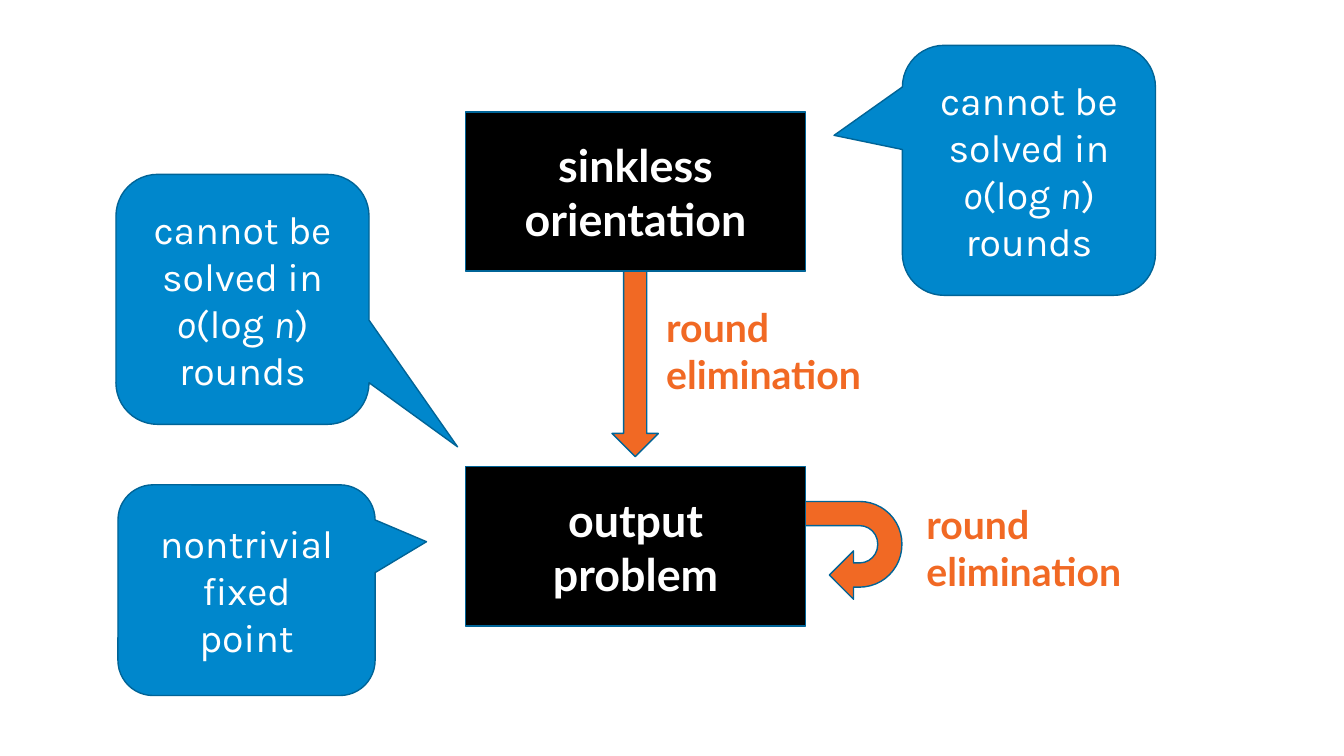
from dataclasses import dataclass

from pptx import Presentation
from pptx.dml.color import RGBColor
from pptx.enum import shapes, text
from pptx.util import Inches, Pt

COLORS = {
    "orange": "F16924",
    "blue": "0087CC",
    "outline": "006497",
    "black": "000000",
    "white": "FFFFFF",
}
KIND = shapes.MSO_SHAPE
ALIGN = text.PP_ALIGN
BOX_FONT = {"name": "Lato", "size": Pt(32), "bold": True}
LABEL_FONT = {"name": "Lato", "size": Pt(28), "bold": True}
CALLOUT_FONT = {"name": "Karla", "size": Pt(28)}
CENTERED = {"alignment": ALIGN.CENTER}
CALLOUT_PARA = {"alignment": ALIGN.CENTER, "space_before": Pt(20)}
LABEL_FRAME = {"word_wrap": False, "auto_size": text.MSO_AUTO_SIZE.SHAPE_TO_FIT_TEXT}
SHAPE_FRAME = {"word_wrap": True, "vertical_anchor": text.MSO_ANCHOR.MIDDLE}
BOUND = "cannot be\nsolved in\n*o*(log *n*)\nrounds"


@dataclass
class Box:
    left: float
    top: float
    width: float
    height: float


@dataclass
class Label:
    box: Box
    paragraphs: tuple[str, ...]


@dataclass
class Callout:
    box: Box
    tip: tuple[float, float]
    words: str


@dataclass
class Arrow:
    kind: shapes.MSO_SHAPE
    box: Box
    rotation: float = 0


LABELS = [
    Label(Box(left, top, 2.44, 1.04), ("round", "elimination"))
    for left, top in [(6.51, 2.96), (9.09, 4.91)]
]
ARROWS = [
    Arrow(KIND.U_TURN_ARROW, Box(7.98, 4.98, 0.97, 0.96), 90),
    Arrow(KIND.DOWN_ARROW, Box(6.07, 2.69, 0.46, 1.84)),
]
PROBLEMS = [
    Label(Box(4.62, 1.11, 3.37, 1.58), ("sinkless", "orientation")),
    Label(Box(4.62, 4.63, 3.37, 1.58), ("output", "problem")),
]
CALLOUTS = [
    Callout(Box(8.95, 0.45, 2.51, 2.48), (-0.77, -0.14), BOUND),
    Callout(Box(1.17, 4.81, 2.55, 2.09), (0.7, -0.23), "nontrivial\nfixed\npoint"),
    Callout(Box(1.15, 1.73, 2.51, 2.48), (0.85, 0.59), BOUND),
]


def rgb(name: str) -> RGBColor:
    return RGBColor.from_string(COLORS[name])


def apply(target, formats: dict) -> None:
    for key, value in formats.items():
        setattr(target, key, value)


def place(box: Box) -> list:
    return [Inches(v) for v in (box.left, box.top, box.width, box.height)]


def add_filled(s, kind: shapes.MSO_SHAPE, box: Box, fill: str):
    sp = s.shapes.add_shape(kind, *place(box))
    sp.shadow.inherit = False
    sp.fill.solid()
    sp.fill.fore_color.rgb = rgb(fill)
    sp.line.color.rgb = rgb("outline")
    sp.line.width = Pt(1)
    return sp


def write(tf, paragraphs: tuple[str, ...], font: dict, color: str, para: dict) -> None:
    for i, words in enumerate(paragraphs):
        p = tf.add_paragraph() if i else tf.paragraphs[0]
        apply(p, para)
        for n, line in enumerate(words.split("\n")):
            if n:
                p.add_line_break()
            for k, part in enumerate(line.split("*")):
                if part:
                    r = p.add_run()
                    r.text = part
                    apply(r.font, {**font, "italic": k % 2 == 1})
                    r.font.color.rgb = rgb(color)


def add_label(s, label: Label) -> None:
    tf = s.shapes.add_textbox(*place(label.box)).text_frame
    apply(tf, LABEL_FRAME)
    write(tf, label.paragraphs, LABEL_FONT, "orange", {"alignment": ALIGN.LEFT})


def add_arrow(s, arrow: Arrow) -> None:
    sp = add_filled(s, arrow.kind, arrow.box, "orange")
    sp.rotation = arrow.rotation


def add_problem(s, problem: Label) -> None:
    tf = add_filled(s, KIND.RECTANGLE, problem.box, "black").text_frame
    apply(tf, SHAPE_FRAME)
    write(tf, problem.paragraphs, BOX_FONT, "white", CENTERED)


def add_callout(s, callout: Callout) -> None:
    sp = add_filled(s, KIND.ROUNDED_RECTANGULAR_CALLOUT, callout.box, "blue")
    sp.adjustments[0], sp.adjustments[1] = callout.tip
    apply(sp.text_frame, SHAPE_FRAME)
    write(sp.text_frame, (callout.words,), CALLOUT_FONT, "white", CALLOUT_PARA)


def main() -> None:
    prs = Presentation()
    apply(prs, {"slide_width": Inches(13.33), "slide_height": Inches(7.5)})
    s = prs.slides.add_slide(prs.slide_layouts[6])
    for add, items in [
        (add_label, LABELS),
        (add_arrow, ARROWS),
        (add_problem, PROBLEMS),
        (add_callout, CALLOUTS),
    ]:
        for item in items:
            add(s, item)
    prs.save("out.pptx")


if __name__ == "__main__":
    main()
